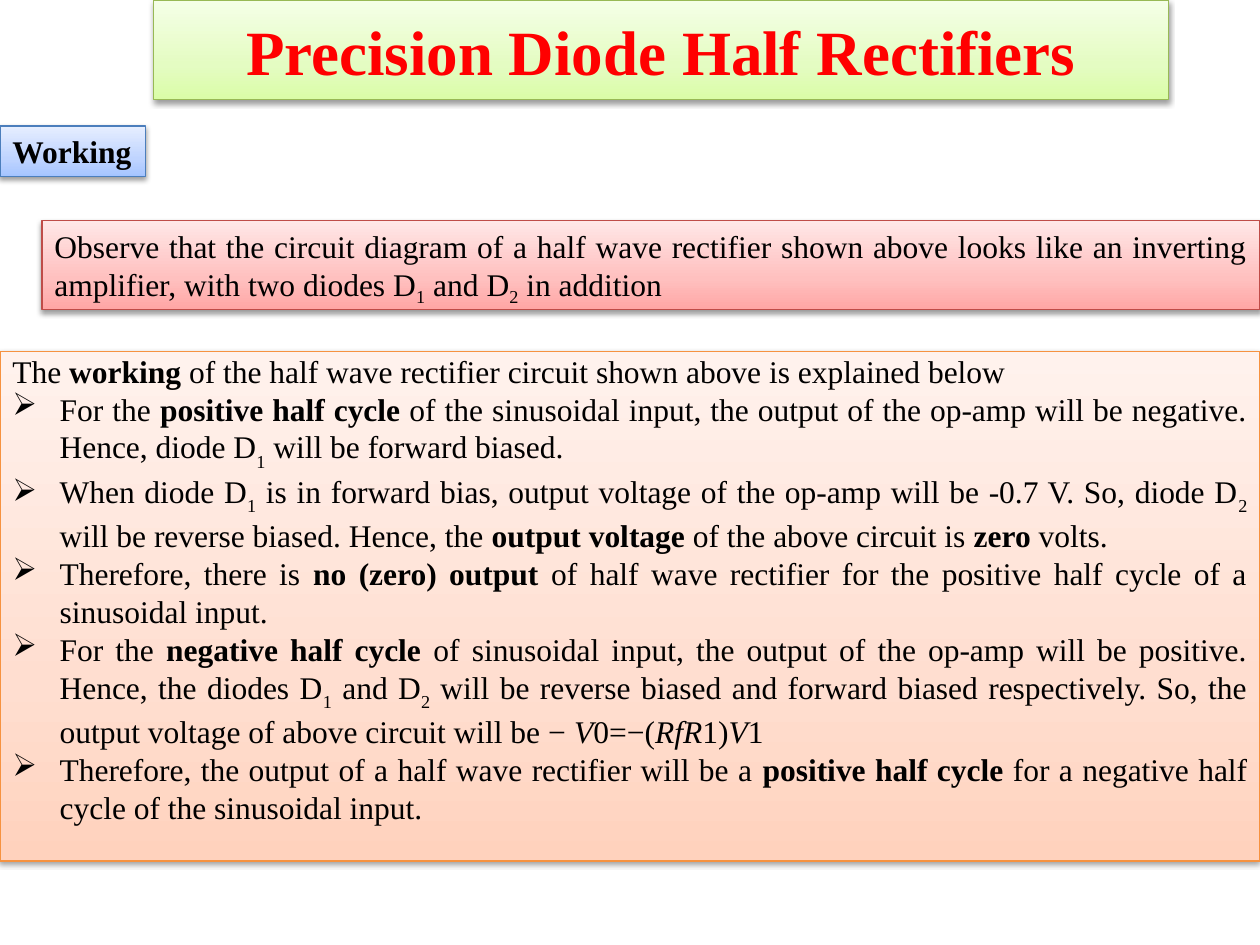
from copy import deepcopy

from lxml import etree
from pptx import Presentation
from pptx import util as u
from pptx.dml.color import RGBColor
from pptx.enum import shapes, text
from pptx.oxml import ns

# Each panel: line, then gradient from bottom to top
COLOURS = {
    "text": "000000",
    "title": "FF0000",
    "shadow": "000000",
    "green": ("98B955", "DAFDA7", "E4FCC2", "F5FFE7"),
    "blue": ("4B7EBC", "A4C4FF", "BFD4FF", "E6EEFF"),
    "red": ("BF4C48", "FFA6A5", "FFC0BF", "FFE7E7"),
    "orange": ("F69240", "FFD2BD", "FFDED0", "FFF2ED"),
}
STOPS = (0, 0.35, 1)
BOLD, ITALIC = "bold", "italic"
JUSTIFY = text.PP_ALIGN.JUSTIFY


def sub(parent, tag, **attributes):
    values = {name: str(value) for name, value in attributes.items()}
    return etree.SubElement(parent, ns.qn(tag), values)


class SlideBuilder:
    font_name = "Times New Roman"
    bullet_indent = u.Pt(27)

    def __init__(self, slide):
        self.slide = slide

    def panel(self, left, top, width, height, scheme,
              anchor=text.MSO_ANCHOR.TOP, wrap=True, margin_top=3.6):
        shape = self.slide.shapes.add_shape(
            shapes.MSO_SHAPE.RECTANGLE,
            u.Pt(left), u.Pt(top), u.Pt(width), u.Pt(height))
        line, *gradient = COLOURS[scheme]
        self.gradient(shape, gradient)
        shape.line.color.rgb = RGBColor.from_string(line)
        shape.line.width = u.Pt(0.75)
        self.shadow(shape)
        frame = shape.text_frame
        frame.word_wrap = wrap
        frame.vertical_anchor = anchor
        frame.margin_top = u.Pt(margin_top)
        return frame

    def gradient(self, shape, colours):
        shape.fill.gradient()
        shape.fill.gradient_angle = 90
        stop_list = shape.element.spPr.find(".//" + ns.qn("a:gsLst"))
        stop_list.append(deepcopy(stop_list[-1]))
        for stop, position, colour in zip(shape.fill.gradient_stops, STOPS, colours):
            stop.position = position
            stop.color.rgb = RGBColor.from_string(colour)

    def shadow(self, shape):
        shape.shadow.inherit = False
        effects = shape.element.spPr.find(ns.qn("a:effectLst"))
        outer = sub(effects, "a:outerShdw", blurRad=u.Pt(3.1), dist=u.Pt(1.6),
                    dir=90 * 60000, rotWithShape=0)
        colour = sub(outer, "a:srgbClr", val=COLOURS["shadow"])
        sub(colour, "a:alpha", val=38000)

    def paragraph(self, frame, runs, first=False, align=JUSTIFY, bullet=False,
                  size=18, colour="text", subscript=-30):
        paragraph = frame.paragraphs[0] if first else frame.add_paragraph()
        paragraph.alignment = align
        if bullet:
            properties = paragraph._p.get_or_add_pPr()
            properties.set("marL", str(self.bullet_indent))
            properties.set("indent", str(-self.bullet_indent))
            sub(properties, "a:buChar", char="➢")
        for item in runs:
            words, style = item if isinstance(item, tuple) else (item, None)
            run = paragraph.add_run()
            run.text = words
            run.font.name = self.font_name
            run.font.size = u.Pt(size)
            run.font.color.rgb = RGBColor.from_string(COLOURS[colour])
            run.font.bold = style == BOLD
            run.font.italic = style == ITALIC
            if style == "sub":
                run._r.get_or_add_rPr().set("baseline", str(subscript * 1000))


D1, D2 = ("1", "sub"), ("2", "sub")
STEPS = [
    ["For the ", ("positive half cycle", BOLD),
     " of the sinusoidal input, the output of the op-amp will be negative. "
     "Hence, diode D", D1, " will be forward biased."],
    ["When diode D", D1, " is in forward bias, output voltage of the op-amp "
     "will be -0.7 V. So, diode D", D2, " will be reverse biased. Hence, the ",
     ("output voltage", BOLD), " of the above circuit is ", ("zero", BOLD), " volts."],
    ["Therefore, there is ", ("no (zero) output", BOLD),
     " of half wave rectifier for the positive half cycle of a sinusoidal input."],
    ["For the ", ("negative half cycle", BOLD),
     " of sinusoidal input, the output of the op-amp will be positive. "
     "Hence, the diodes D", D1, " and D", D2,
     " will be reverse biased and forward biased respectively. So, the output "
     "voltage of above circuit will be − ", ("V", ITALIC), "0=−(",
     ("RfR", ITALIC), "1)", ("V", ITALIC), "1"],
    ["Therefore, the output of a half wave rectifier will be a ",
     ("positive half cycle", BOLD),
     " for a negative half cycle of the sinusoidal input."],
]


def main():
    presentation = Presentation()
    presentation.slide_width, presentation.slide_height = u.Pt(720), u.Pt(540)
    builder = SlideBuilder(
        presentation.slides.add_slide(presentation.slide_layouts[6]))

    # Observation
    frame = builder.panel(24, 126, 696, 51, "red")
    builder.paragraph(frame, [
        "Observe that the circuit diagram of a half wave rectifier shown above "
        "looks like an inverting amplifier, with two diodes D", D1, " and D", D2,
        " in addition"], first=True, subscript=-25)

    # Title
    frame = builder.panel(87.8, 0, 580, 57, "green", anchor=text.MSO_ANCHOR.MIDDLE)
    builder.paragraph(frame, [("Precision Diode Half Rectifiers", BOLD)], first=True,
                      align=text.PP_ALIGN.CENTER, size=36, colour="title")

    # Section label
    frame = builder.panel(0, 72, 83.4, 29, "blue", wrap=False)
    builder.paragraph(frame, [("Working", BOLD)], first=True,
                      align=text.PP_ALIGN.LEFT)

    # Explanation
    frame = builder.panel(0, 201, 720, 291, "orange", margin_top=0)
    builder.paragraph(frame, [
        "The ", ("working", BOLD),
        " of the half wave rectifier circuit shown above is explained below"],
        first=True)
    for step in STEPS:
        builder.paragraph(frame, step, bullet=True)

    presentation.save("out.pptx")


if __name__ == "__main__":
    main()
